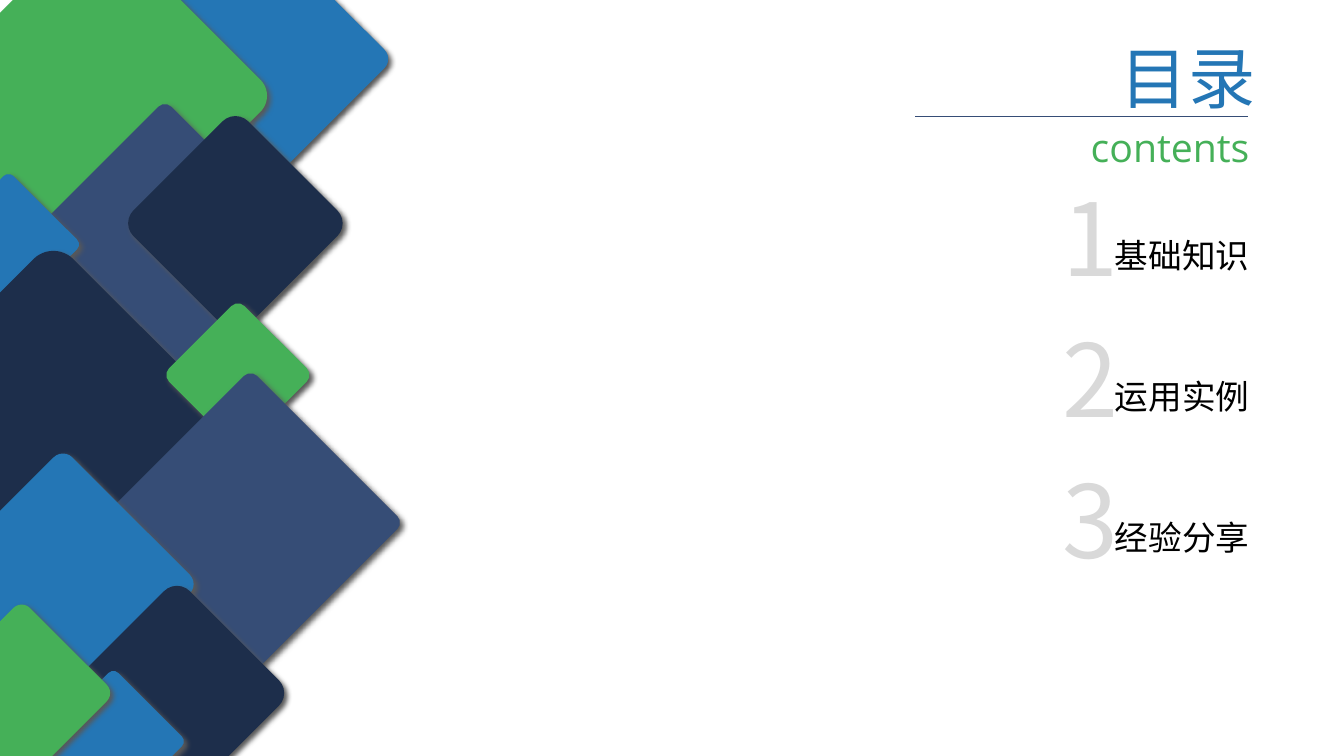
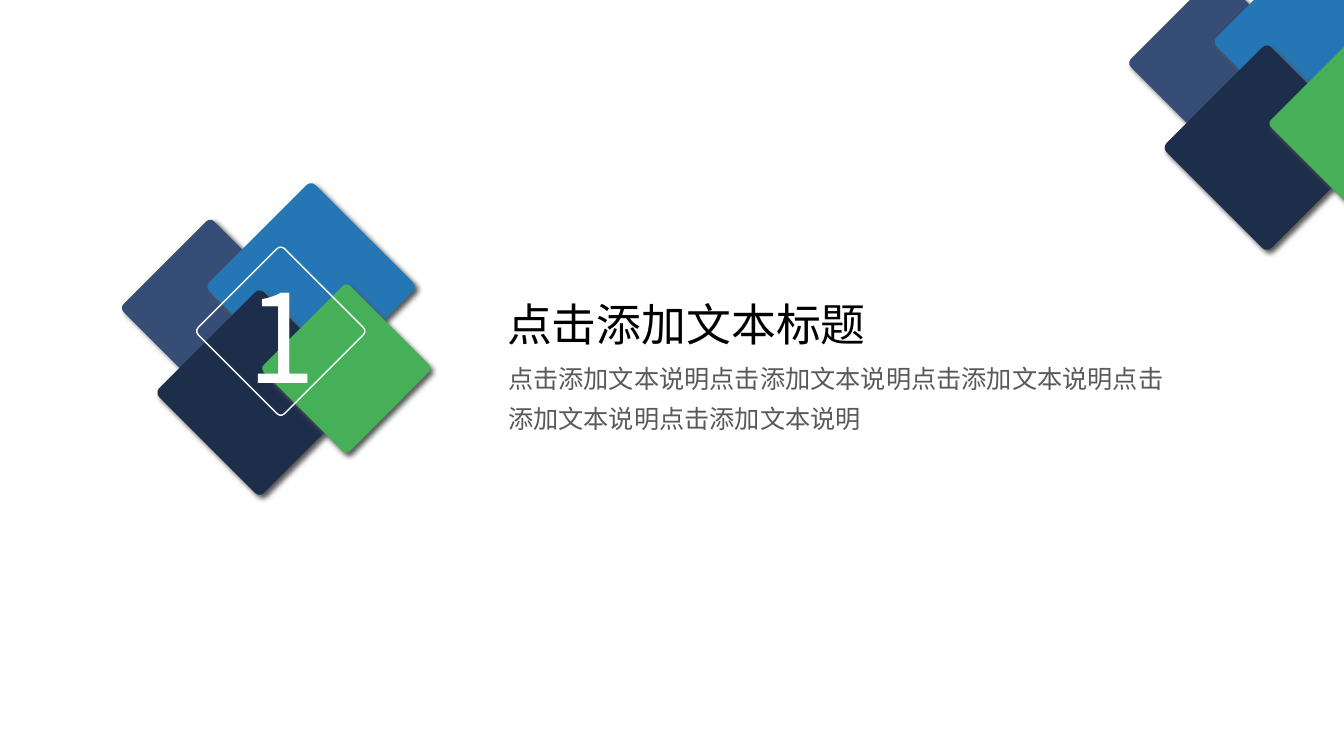
from lxml.etree import SubElement
from pptx import Presentation
from pptx.dml.color import RGBColor
from pptx.enum.shapes import MSO_CONNECTOR, MSO_SHAPE
from pptx.enum.text import MSO_ANCHOR, MSO_AUTO_SIZE, PP_ALIGN
from pptx.oxml.ns import qn
from pptx.util import Inches, Pt

BLUE, GREEN, SLATE, NAVY = "2476B5", "45B058", "364D76", "1D2E4B"
WHITE, BLACK, GRAY, PALE = "FFFFFF", "000000", "595959", "D9D9D9"
LEFT, MID, RIGHT = PP_ALIGN.LEFT, PP_ALIGN.CENTER, PP_ALIGN.RIGHT
ROUND = {BLUE: 0.069, GREEN: 0.089, SLATE: 0.042, NAVY: 0.112}
FLAT = ROUND[SLATE]


def tint(code):
    return RGBColor.from_string(code)


class Deck:
    sans = "Noto Sans CJK SC"

    def __init__(self):
        self.file = Presentation()
        self.file.slide_width = Inches(13.33)
        self.file.slide_height = Inches(7.5)
        self.slide = None

    def page(self):
        self.slide = self.file.slides.add_slide(self.file.slide_layouts[5])

    def style(self, box, text, size, color, align, face, space=None):
        frame = box.text_frame
        frame.word_wrap = True
        frame.auto_size = MSO_AUTO_SIZE.SHAPE_TO_FIT_TEXT
        frame.vertical_anchor = MSO_ANCHOR.TOP
        para = frame.paragraphs[0]
        para.text = text
        para.alignment = align
        if space:
            para.line_spacing = space
        font = para.font
        font.size = Pt(size)
        font.color.rgb = tint(color)
        font.name = face
        props = para._p.pPr.find(qn("a:defRPr"))
        SubElement(props, qn("a:ea"), typeface=face)

    def title(self, text, x, y, w, h, size, color, align):
        box = self.slide.shapes.title
        box.left, box.top = Inches(x), Inches(y)
        box.width, box.height = Inches(w), Inches(h)
        self.style(box, text, size, color, align, self.sans)

    def label(self, text, x, y, w, h, size, color, align=LEFT, face=sans, space=None):
        box = self.slide.shapes.add_textbox(Inches(x), Inches(y), Inches(w), Inches(h))
        self.style(box, text, size, color, align, face, space)

    def square(self, x, y, side, bend, home=None):
        home = home or self.slide.shapes
        shape = home.add_shape(MSO_SHAPE.ROUNDED_RECTANGLE, Inches(x), Inches(y),
                               Inches(side), Inches(side))
        shape.rotation = 315
        shape.adjustments[0] = bend
        shape.shadow.inherit = False
        return shape

    def tile(self, x, y, side, color, bend=None, home=None):
        shape = self.square(x, y, side, bend or ROUND[color], home)
        shape.fill.solid()
        shape.fill.fore_color.rgb = tint(color)
        shape.line.fill.background()
        effects = shape._element.spPr.find(qn("a:effectLst"))
        shade = SubElement(effects, qn("a:outerShdw"), blurRad=str(Pt(4)), dist=str(Pt(3)),
                           dir="2700000", algn="tl", rotWithShape="0")
        SubElement(shade, qn("a:srgbClr"), val=GRAY)

    def frame(self, x, y, side):
        shape = self.square(x, y, side, FLAT)
        shape.fill.background()
        shape.line.color.rgb = tint(WHITE)
        shape.line.width = Pt(1)

    def cluster(self, x, y):
        home = self.slide.shapes.add_group_shape().shapes
        for dx, dy, side, color in [(0, 0.32, 1.27, SLATE), (0.89, 0, 1.49, BLUE),
                                    (0.39, 1.06, 1.47, NAVY), (1.38, 0.95, 1.21, GREEN)]:
            self.tile(x + dx, y + dy, side, color, FLAT, home)

    def rule(self, x, y, end, color):
        line = self.slide.shapes.add_connector(MSO_CONNECTOR.STRAIGHT, Inches(x), Inches(y),
                                               Inches(end), Inches(y))
        line.line.color.rgb = tint(color)
        line.line.width = Pt(0.5)
        SubElement(line._element.spPr, qn("a:effectLst"))


def contents(deck):
    deck.page()
    for tile in [
        (1.6, -0.37, 1.91, BLUE), (-0.3, -0.31, 2.52, GREEN),
        (0.56, 1.44, 2.15, SLATE), (1.53, 1.41, 1.61, NAVY),
        (-0.43, 1.91, 1.03, BLUE), (-0.72, 2.89, 2.5, NAVY),
        (1.83, 3.19, 1.06, GREEN), (1.41, 4.11, 2.15, SLATE),
        (-0.33, 4.84, 1.91, BLUE), (0.95, 6.07, 1.61, NAVY),
        (-0.31, 6.35, 1.06, GREEN), (0.61, 6.84, 1.03, BLUE),
        (-0.44, 6.22, 1.31, GREEN),
    ]:
        deck.tile(*tile)
    deck.title("目录", 8.31, 0.31, 4.24, 0.91, 48, BLUE, RIGHT)
    deck.rule(9.08, 1.15, 12.38, SLATE)
    deck.label("contents", 9.95, 1.17, 2.54, 0.57, 28, GREEN, RIGHT, "Open Sans")
    for step, topic in enumerate(["基础知识", "运用实例", "经验分享"]):
        top = 1.69 + 1.4 * step
        deck.label(str(step + 1), 10.44, top, 1.17, 1.31, 72, PALE)
        deck.label(topic, 8.94, top + 0.59, 3.55, 0.5, 24, BLACK, RIGHT)


def section(deck):
    deck.page()
    deck.title("点击添加文本标题", 4.93, 2.89, 4.61, 0.64, 32, BLACK, LEFT)
    deck.label("点击添加文本说明" * 5, 4.94, 3.47, 6.85, 0.89, 18, GRAY, space=1.3)
    deck.cluster(11.44, -0.33)
    deck.cluster(1.45, 2.1)
    deck.label("1", 2.32, 2.53, 0.95, 1.58, 88, WHITE, MID)
    deck.frame(2.18, 2.68, 1.21)


def main():
    deck = Deck()
    contents(deck)
    section(deck)
    deck.file.save("out.pptx")


if __name__ == "__main__":
    main()
